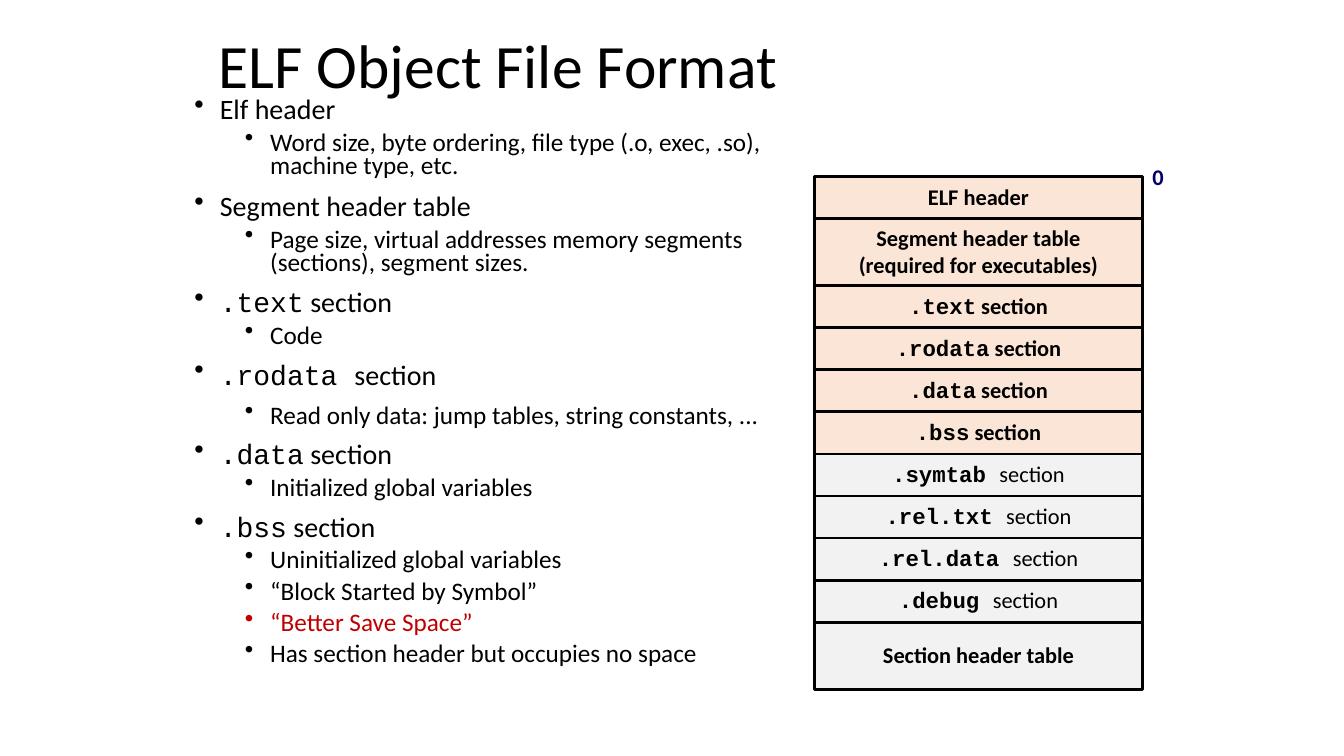
import dataclasses
import pptx
import pptx.dml.color
import pptx.enum.shapes
import pptx.enum.text
import pptx.oxml.ns
import pptx.util
from lxml import etree

Cm = pptx.util.Cm
Pt = pptx.util.Pt
ALIGN = pptx.enum.text.PP_ALIGN
ANCHOR = pptx.enum.text.MSO_ANCHOR
SANS, MONO = "Calibri", "Courier New"
BLACK, RED, NAVY = "000000", "C00000", "000066"
PEACH, GREY = "FBE5D6", "F2F2F2"


@dataclasses.dataclass
class Point:
    text: str
    code: str = ""
    level: int = 0
    ink: str = BLACK
    loose: bool = False


@dataclasses.dataclass
class Row:
    text: str
    code: str = ""
    fill: str = PEACH
    bold: bool = True
    high: float = 1.06


POINTS = [
    Point("Elf header"),
    Point("Word size, byte ordering, file type (.o, exec, .so), machine type, etc.", level=1),
    Point("Segment header table"),
    Point("Page size, virtual addresses memory segments (sections), segment sizes.", level=1),
    Point(" section", ".text"),
    Point("Code", level=1),
    Point("section", ".rodata "),
    Point("Read only data: jump tables, string constants, ...", level=1, loose=True),
    Point(" section", ".data"),
    Point("Initialized global variables", level=1),
    Point(" section", ".bss"),
    Point("Uninitialized global variables", level=1),
    Point("“Block Started by Symbol”", level=1),
    Point("“Better Save Space”", level=1, ink=RED),
    Point("Has section header but occupies no space", level=1),
]

ROWS = [
    Row("ELF header"),
    Row("Segment header table\n(required for executables)", high=1.69),
    *[Row(" section", code) for code in (".text", ".rodata", ".data", ".bss")],
    *[Row("section", code, GREY, False)
      for code in (".symtab ", ".rel.txt ", ".rel.data ", ".debug ")],
    Row("Section header table", fill=GREY, high=1.69),
]


def tint(code: str) -> pptx.dml.color.RGBColor:
    return pptx.dml.color.RGBColor.from_string(code)


def style(run, size: float, face: str = SANS, ink: str = BLACK, bold: bool = False) -> None:
    run.font.size = Pt(size)
    run.font.name = face
    run.font.bold = bold
    run.font.color.rgb = tint(ink)


def write(para, text: str, code: str, size: float, ink: str = BLACK,
          bold: bool = False, strong: bool = False) -> None:
    """Fill a paragraph with an optional code word and plain text."""
    para.text = code or text
    style(para.runs[0], size, MONO if code else SANS, ink, strong if code else bold)
    if code:
        tail = para.add_run()
        tail.text = text
        style(tail, size, SANS, ink, bold)


def add_box(slide, left: float, top: float, width: float, height: float, wrap: bool = True):
    frame = slide.shapes.add_textbox(Cm(left), Cm(top), Cm(width), Cm(height)).text_frame
    frame.word_wrap = wrap
    return frame


def add_point(para, point: Point) -> None:
    write(para, point.text, point.code, 18 if point.level else 20, point.ink)
    tight = point.level and not point.loose
    para.level = point.level
    para.space_before = Pt(5.6 if tight else 12.5)
    para.line_spacing = 0.78 if tight else 0.7 if point.code or point.loose else 0.73
    props = para._p.get_or_add_pPr()
    props.set("marL", str(Cm(0.64 + 1.27 * point.level)))
    props.set("indent", str(-Cm(0.64)))
    mark = etree.SubElement(props, pptx.oxml.ns.qn("a:buChar"))
    mark.set("char", "•")


def add_row(slide, row: Row, top: float) -> None:
    rect = pptx.enum.shapes.MSO_SHAPE.RECTANGLE
    shape = slide.shapes.add_shape(rect, Cm(20.53), Cm(top), Cm(8.26), Cm(row.high))
    shape.shadow.inherit = False
    shape.fill.solid()
    shape.fill.fore_color.rgb = tint(row.fill)
    shape.line.color.rgb = tint(BLACK)
    shape.line.width = Pt(2)
    frame = shape.text_frame
    frame.word_wrap = False
    frame.vertical_anchor = ANCHOR.MIDDLE
    frame.text = row.text
    for para in frame.paragraphs:
        write(para, para.text, row.code, 16, bold=row.bold, strong=True)
        para.alignment = ALIGN.CENTER
        para.line_spacing = 0.94 if row.code else 0.98


deck = pptx.Presentation()
deck.slide_width, deck.slide_height = Cm(33.87), Cm(19.05)
slide = deck.slides.add_slide(deck.slide_layouts[6])

# Title
title = add_box(slide, 5.26, 0.64, 24.2, 2.18)
title.vertical_anchor = ANCHOR.MIDDLE
write(title.paragraphs[0], "ELF Object File Format", "", 44)
title.paragraphs[0].line_spacing = 0.9

# Bullet list
body = add_box(slide, 4.65, 2.39, 15.5, 14.96)
body.text = "\n".join(point.text for point in POINTS)
for para, point in zip(body.paragraphs, POINTS):
    add_point(para, point)

# File layout, stacked from offset zero
top = 4.45
for row in ROWS:
    add_row(slide, row, top)
    top += row.high

# Offset label
label = add_box(slide, 28.79, 4.02, 0.79, 0.94, wrap=False)
write(label.paragraphs[0], "0", "", 16, NAVY, bold=True)
label.paragraphs[0].line_spacing = 0.98

deck.save("out.pptx")
